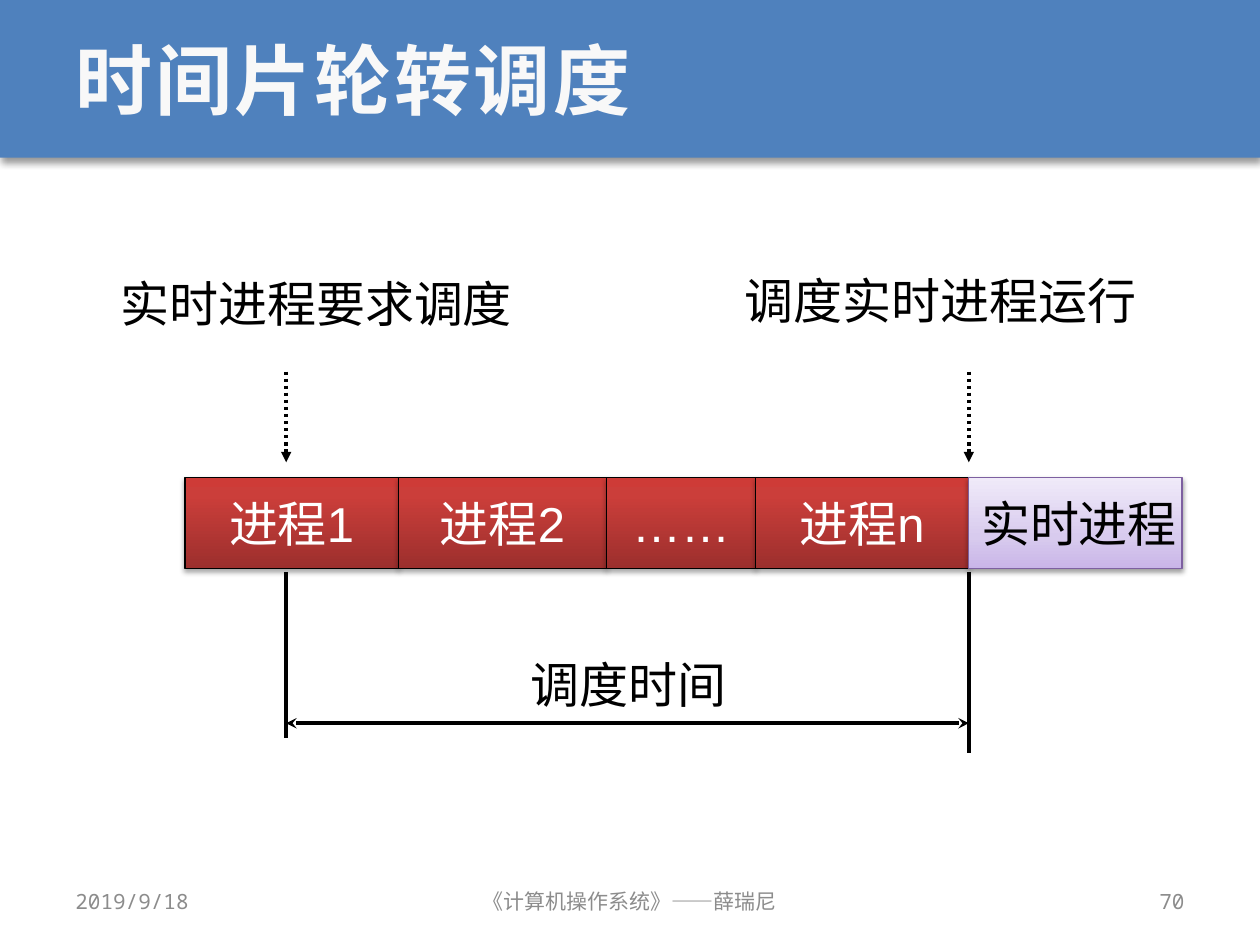
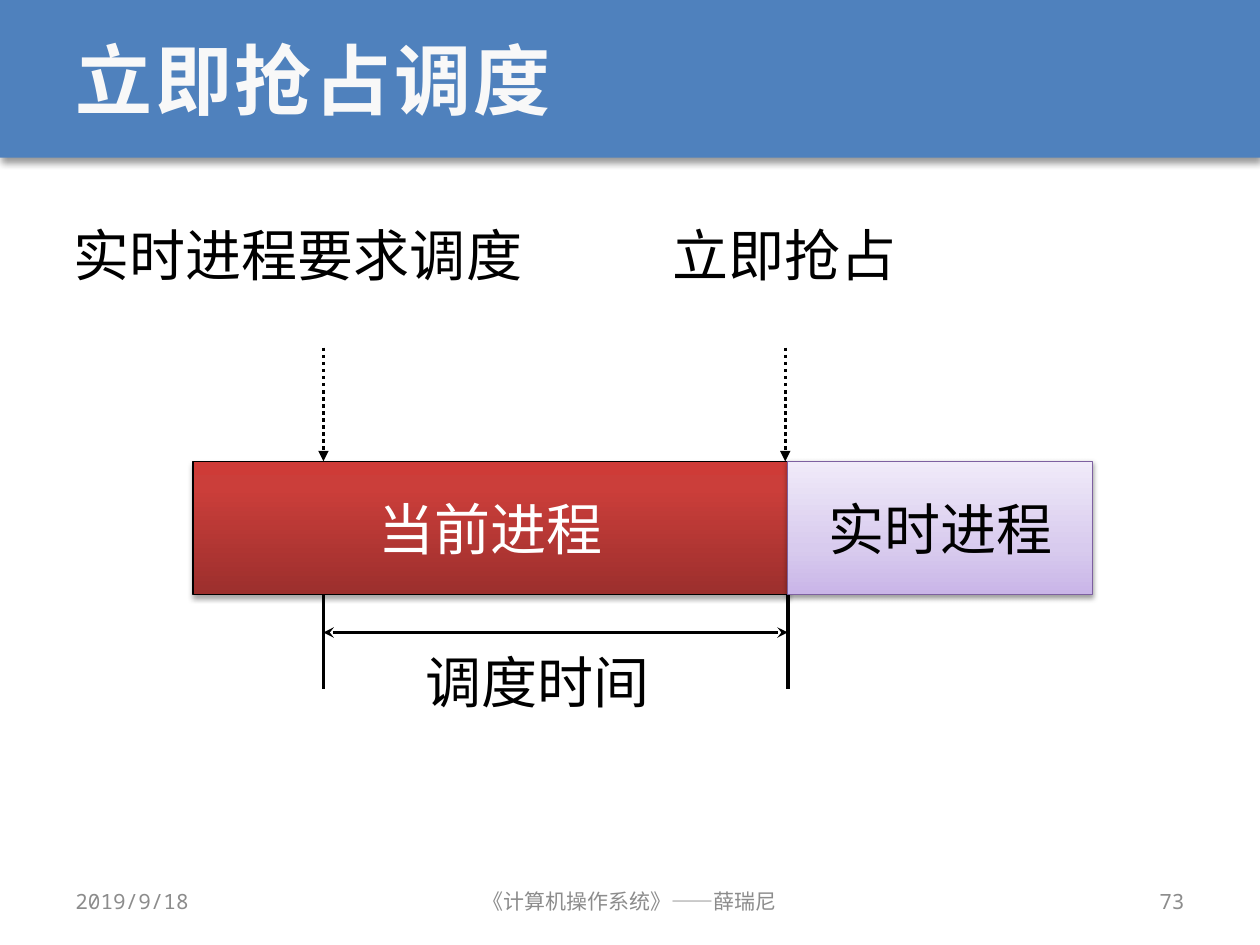
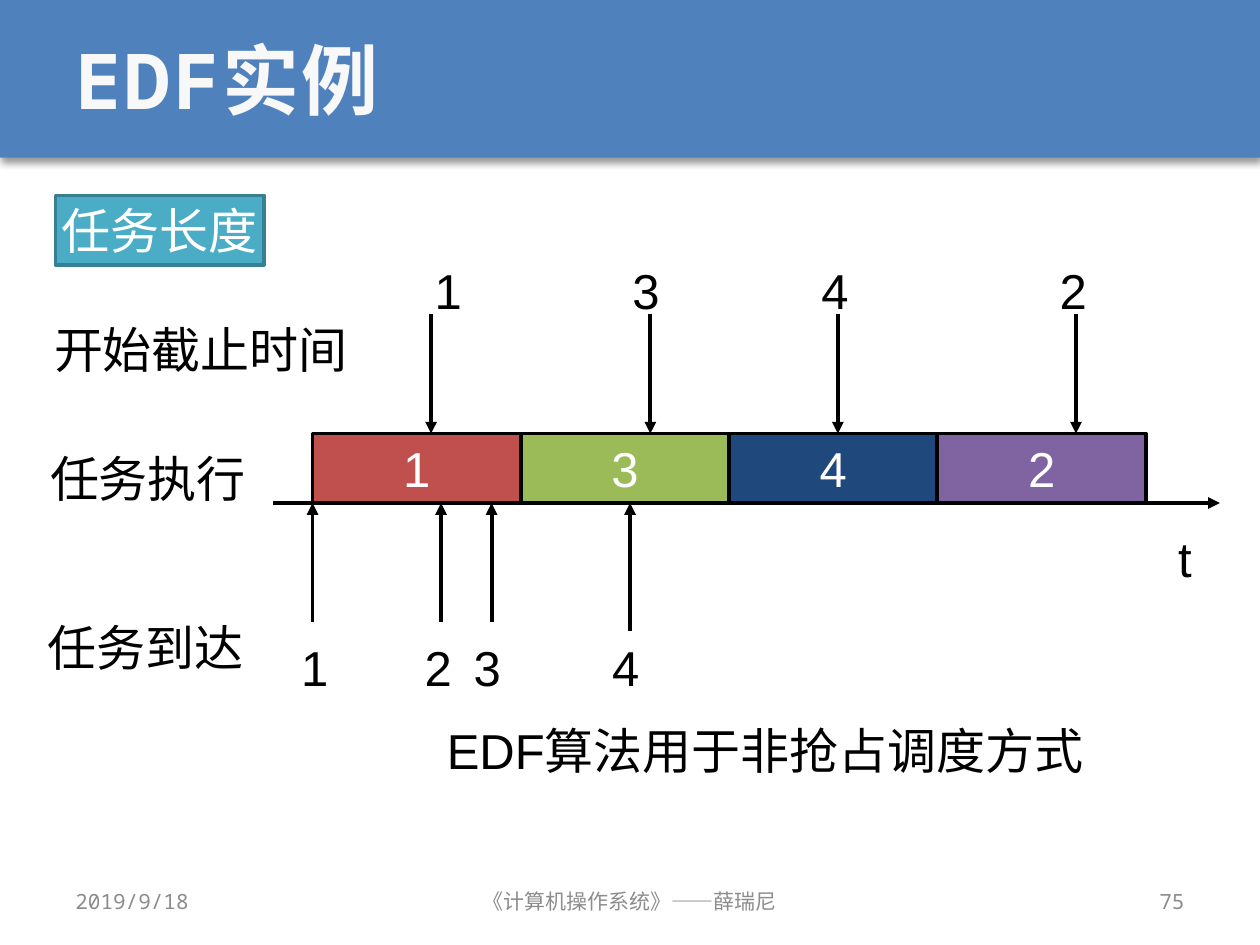
from collections import namedtuple
from dataclasses import dataclass
from itertools import accumulate

from lxml import etree
from pptx import Presentation
from pptx.dml.color import RGBColor
from pptx.enum.dml import MSO_LINE
from pptx.enum.shapes import MSO_CONNECTOR, MSO_SHAPE
from pptx.enum.text import MSO_ANCHOR, MSO_AUTO_SIZE, PP_ALIGN
from pptx.oxml.ns import qn
from pptx.util import Cm, Pt

LEFT, CENTER, RIGHT = PP_ALIGN.LEFT, PP_ALIGN.CENTER, PP_ALIGN.RIGHT
TOP, MIDDLE = MSO_ANCHOR.TOP, MSO_ANCHOR.MIDDLE
RECT, STRAIGHT, DOTTED = MSO_SHAPE.RECTANGLE, MSO_CONNECTOR.STRAIGHT, MSO_LINE.ROUND_DOT
TITLE_ONLY = 5

Box = namedtuple("Box", "x y w h")
Shadow = namedtuple("Shadow", "alpha blur dist")
Finish = namedtuple("Finish", "stops line ink shadow")


@dataclass(frozen=True)
class Theme:
    """Colours, fonts and type sizes of the deck."""

    band: str = "4F81BD"
    title: str = "F8F8F8"
    footer: str = "8C8C8C"
    ink: str = "000000"
    white: str = "FFFFFF"
    tag: str = "4BACC6"
    tag_line: str = "377F92"
    tasks: tuple = (("1", "C0504D"), ("3", "9BBB59"), ("4", "1F497D"), ("2", "8064A2"))
    body_font: str = "Arial"
    mono_font: str = "Noto Sans Mono"
    cjk_font: str = "Noto Sans CJK SC"
    title_size: int = 44
    large_size: int = 32
    body_size: int = 28
    footer_size: int = 12
    band_shadow: Shadow = Shadow(40, 4, 3)
    process: Finish = Finish(((0, "9C2F2D"), (80, "CB3E3A"), (100, "CE3B37")),
                             "000000", "FFFFFF", Shadow(35, 3.1, 1.8))
    realtime: Finish = Finish(((0, "C9B5E8"), (35, "D8CBEE"), (100, "F0EAF9")),
                              "7D60A0", "000000", Shadow(38, 3.1, 1.6))


T = Theme()
BAND = Box(0, 0, 25.4, 3.18)
TITLE = Box(1.27, 0, 22.86, 3.18)
FOOTERS = Box(1.27, 17.65, 22.86, 1.02)
LABEL_H = 1.45


def rgb(value):
    """Return a colour from its hex digits."""
    return RGBColor.from_string(value)


def cm(*lengths):
    """Convert centimetre numbers to lengths."""
    return [Cm(length) for length in lengths]


def write(tf, text, size, color, font=T.body_font, align=LEFT, anchor=TOP, wrap=False):
    """Set the text of a frame and format it; return its run."""
    tf.text = text
    tf.word_wrap = wrap
    tf.vertical_anchor = anchor
    p = tf.paragraphs[0]
    p.alignment = align
    r = p.runs[0]
    r.font.size = Pt(size)
    r.font.color.rgb = rgb(color)
    r.font.name = font
    etree.SubElement(r.font._element, qn("a:ea"), typeface=T.cjk_font)
    return r


def add_label(s, box, text, size=T.body_size, wrap=False, **style):
    """Add a text box."""
    sp = s.shapes.add_textbox(*cm(*box))
    write(sp.text_frame, text, size, style.pop("color", T.ink), wrap=wrap, **style)


def add_rect(s, box, fill=None, line=None, width=0.75, shadow=None):
    """Add a rectangle with an optional solid fill, outline and shadow."""
    sp = s.shapes.add_shape(RECT, *cm(*box))
    sp.shadow.inherit = False
    if fill:
        sp.fill.solid()
        sp.fill.fore_color.rgb = rgb(fill)
    if line:
        sp.line.color.rgb = rgb(line)
        sp.line.width = Pt(width)
    else:
        sp.line.fill.background()
    if shadow:
        effects = sp.element.spPr.find(qn("a:effectLst"))
        outer = etree.SubElement(effects, qn("a:outerShdw"), blurRad=str(Pt(shadow.blur)),
                                 dist=str(Pt(shadow.dist)), dir="5400000", rotWithShape="0")
        add_color(outer, T.ink, shadow.alpha)
    return sp


def add_color(parent, value, alpha=100):
    """Append a colour element with its opacity in percent."""
    color = etree.SubElement(parent, qn("a:srgbClr"), val=value)
    if alpha < 100:
        etree.SubElement(color, qn("a:alpha"), val=str(alpha * 1000))


def fill_gradient(sp, stops):
    """Fill a shape with a gradient that runs upwards."""
    sp.fill.gradient()
    sp.fill.gradient_angle = 90
    stop_list = sp.element.spPr.find(".//" + qn("a:gsLst"))
    for stop in list(stop_list):
        stop_list.remove(stop)
    for position, color in stops:
        add_color(etree.SubElement(stop_list, qn("a:gs"), pos=str(position * 1000)), color)


def add_line(s, start, end, width=2.0, dash=None, head=None, tail=None):
    """Draw a straight black line with optional arrowheads."""
    line = s.shapes.add_connector(STRAIGHT, *cm(*start, *end))
    line.line.color.rgb = rgb(T.ink)
    line.line.width = Pt(width)
    if dash:
        line.line.dash_style = dash
    spPr = line.element.spPr
    for tag, kind in (("a:headEnd", head), ("a:tailEnd", tail)):
        if kind:
            etree.SubElement(spPr.find(qn("a:ln")), qn(tag), type=kind)
    etree.SubElement(spPr, qn("a:effectLst"))


def add_band(s):
    """Place the shared title band on the layout of a slide."""
    band = add_rect(s, BAND, T.band, shadow=T.band_shadow)
    s.slide_layout.shapes.element.insert(2, band.element)


def add_footers(s, box, number):
    """Add the date, course name and slide number."""
    side, middle = 5.92, 8.05
    for x, w, text, align in (
        (box.x, side, "2019/9/18", LEFT),
        (box.x + (box.w - middle) / 2, middle, "《计算机操作系统》——薛瑞尼", CENTER),
        (box.x + box.w - side, side, str(number), RIGHT),
    ):
        add_label(s, Box(x, box.y, w, box.h), text, T.footer_size, wrap=True,
                  color=T.footer, font=T.mono_font, align=align, anchor=MIDDLE)


def new_slide(prs, title, number):
    """Add a slide with its title and footers."""
    s = prs.slides.add_slide(prs.slide_layouts[TITLE_ONLY])
    sp = s.shapes.title
    sp.left, sp.top, sp.width, sp.height = cm(*TITLE)
    r = write(sp.text_frame, title, T.title_size, T.title, T.mono_font, anchor=MIDDLE, wrap=True)
    sp.text_frame.auto_size = MSO_AUTO_SIZE.NONE
    r.font.bold = True
    r.font._element.set("spc", "150")
    add_footers(s, FOOTERS, number)
    return s


def add_process_row(s, box, cells, size, last_align=CENTER):
    """Fill a box with adjoining processes, the last one being real-time."""
    offsets = accumulate((w for _, w in cells), initial=0)
    for i, ((text, w), dx) in enumerate(zip(cells, offsets)):
        last = i == len(cells) - 1
        finish = T.realtime if last else T.process
        sp = add_rect(s, Box(box.x + dx, box.y, w, box.h), line=finish.line, shadow=finish.shadow)
        fill_gradient(sp, finish.stops)
        write(sp.text_frame, text, size, finish.ink,
              align=last_align if last else CENTER, anchor=MIDDLE)


def add_event(s, box, text, size, arrow_x, arrow_h):
    """Add a label at the top of a box and a dotted arrow to its bottom."""
    add_label(s, Box(box.x, box.y, box.w, size * 0.05), text, size)
    bottom = box.y + box.h
    add_line(s, (arrow_x, bottom - arrow_h), (arrow_x, bottom), dash=DOTTED, tail="triangle")


def add_span(s, box, arrow_dy, label, size, right_extra=0.0, wrap=False):
    """Mark the scheduling time between the two sides of a box."""
    right, y = box.x + box.w, box.y + arrow_dy
    add_line(s, (box.x, box.y), (box.x, box.y + box.h))
    add_line(s, (right, box.y), (right, box.y + box.h + right_extra))
    add_line(s, (box.x, y), (right, y), head="stealth", tail="stealth")
    add_label(s, label, "调度时间", size, wrap)


def round_robin_slide(prs):
    """Build the time-slice scheduling slide."""
    s = new_slide(prs, "时间片轮转调度", 70)
    size, request, run = T.body_size, 5.77, 19.53
    cells = [("进程1", 4.3), ("进程2", 4.2), ("……", 3), ("进程n", 4.3), ("实时进程", 4.3)]
    add_process_row(s, Box(3.73, 9.63, 20.1, 1.83), cells, size, LEFT)
    add_event(s, Box(2.18, 5.38, 8.48, 3.94), "实时进程要求调度", size, request, 1.83)
    add_event(s, Box(14.76, 5.33, 8.48, 3.99), "调度实时进程运行", size, run, 1.83)
    add_span(s, Box(request, 11.53, run - request, 3.35), 3.05,
             Box(10.44, 13.06, 4.5, LABEL_H), size, right_extra=0.3)


def preemption_slide(prs):
    """Build the immediate preemption slide."""
    s = new_slide(prs, "立即抢占调度", 73)
    size, request, run = T.large_size, 6.52, 15.88
    cells = [("当前进程", 11.99), ("实时进程", 6.15)]
    add_process_row(s, Box(3.89, 9.3, 18.14, 2.69), cells, size)
    add_event(s, Box(1.24, 4.32, 9.63, 4.98), "实时进程要求调度", size, request, 2.29)
    add_event(s, Box(13.31, 4.32, 5.08, 4.98), "立即抢占", size, run - 0.05, 2.29)
    add_span(s, Box(request, 11.99, run - request, 1.9), 0.76,
             Box(8.33, 12.93, 5.74, 1.63), size, wrap=True)


def add_task_bar(s, box):
    """Draw the time axis and the tasks in their order of execution."""
    bottom = box.y + box.h
    add_line(s, (box.x - 0.79, bottom), (box.x + box.w + 1.49, bottom), 2.25, tail="triangle")
    w = box.w / len(T.tasks)
    for i, (text, color) in enumerate(T.tasks):
        sp = add_rect(s, Box(box.x + i * w, box.y, w, box.h), color, T.ink, 2.25)
        write(sp.text_frame, text, T.body_size, T.white, align=CENTER, anchor=MIDDLE)


def add_mark(s, text, arrow_x, start_y, end_y, label_x, label_y):
    """Draw a solid arrow with a numbered label at its start."""
    add_line(s, (arrow_x, start_y), (arrow_x, end_y), 2.25, tail="triangle")
    add_label(s, Box(label_x, label_y, 0.97, LABEL_H), text, wrap=True)


def add_task_marks(s, box):
    """Mark deadlines above the task bar and arrivals below it."""
    bottom = box.y + box.h
    for text, x, label_x in (("1", 2.39, 2.21), ("3", 6.81, 6.2),
                             ("4", 10.59, 10.01), ("2", 15.39, 14.81)):
        add_mark(s, text, box.x + x, box.y - 2.42, box.y, box.x + label_x, box.y - 3.61)
    for text, x, label_x, length in (("1", 0, -0.48, 2.39), ("2", 2.59, 2.01, 2.39),
                                     ("3", 3.61, 3, 2.39), ("4", 6.4, 5.79, 2.59)):
        add_mark(s, text, box.x + x, bottom + length, bottom, box.x + label_x, bottom + 2.58)
    add_label(s, Box(box.x + 17.2, bottom + 0.38, 0.97, LABEL_H), "t", wrap=True)


def edf_slide(prs):
    """Build the earliest-deadline-first example slide."""
    s = new_slide(prs, "EDF实例", 75)
    bar = Box(6.3, 8.74, 16.8, 1.4)
    add_task_bar(s, bar)
    add_task_marks(s, bar)
    for x, y, w, text in ((0.84, 6.32, 6.5, "开始截止时间"), (0.71, 12.32, 4.5, "任务到达"),
                          (0.76, 8.92, 4.5, "任务执行")):
        add_label(s, Box(x, y, w, LABEL_H), text)
    add_label(s, Box(8.76, 14.4, 13.49, LABEL_H), "EDF算法用于非抢占调度方式", wrap=True)
    tag = add_rect(s, Box(1.12, 3.94, 4.2, 1.4), T.tag, T.tag_line, 2)
    write(tag.text_frame, "任务长度", T.body_size, T.white, align=CENTER, anchor=MIDDLE)


def main():
    """Build and save the deck."""
    prs = Presentation()
    prs.slide_width, prs.slide_height = cm(25.4, 19.05)
    round_robin_slide(prs)
    preemption_slide(prs)
    edf_slide(prs)
    add_band(prs.slides[0])
    prs.save("out.pptx")


if __name__ == "__main__":
    main()
